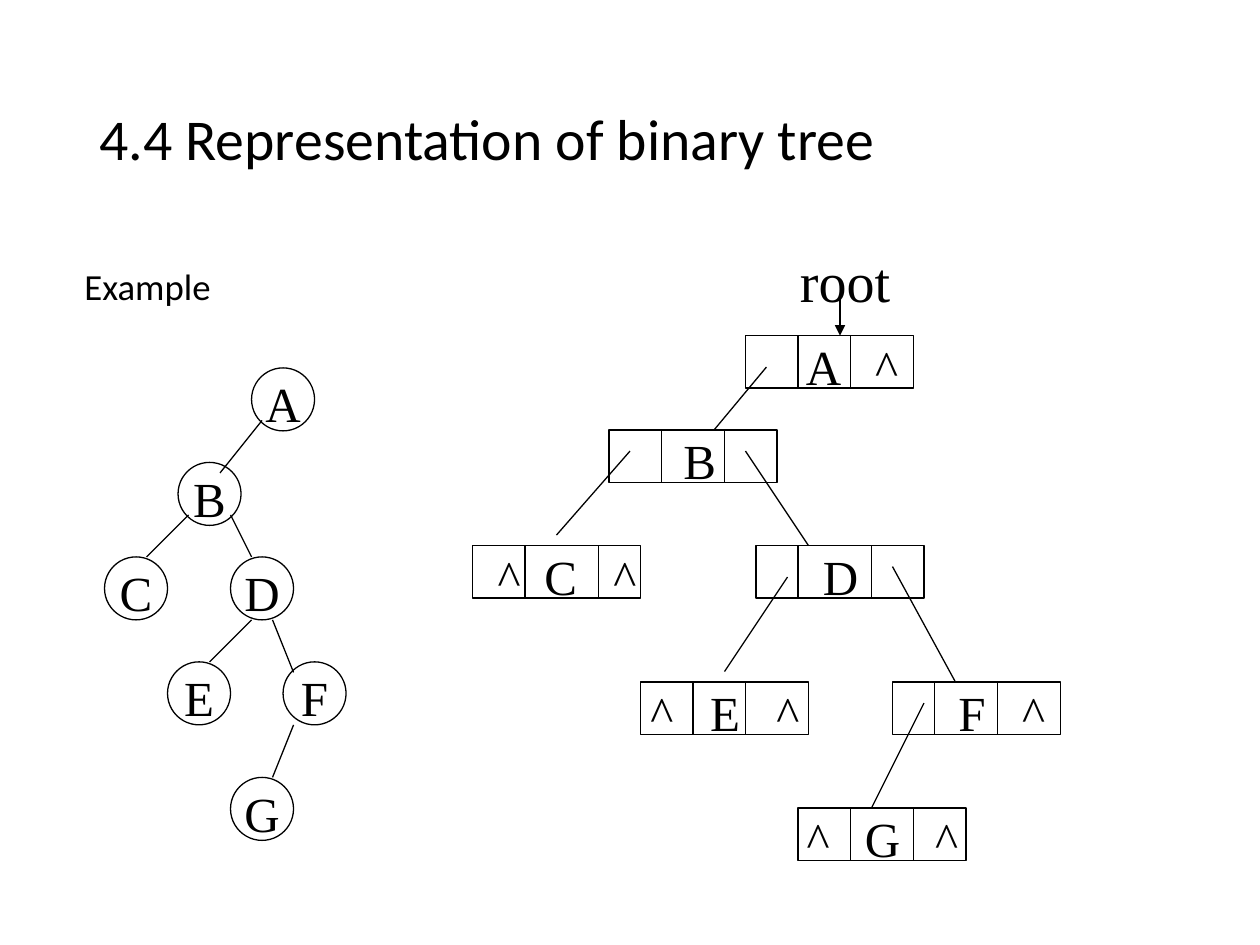
from lxml.etree import SubElement
from pptx import Presentation
from pptx.dml.color import RGBColor
from pptx.enum.shapes import MSO_CONNECTOR, MSO_SHAPE
from pptx.enum.text import MSO_ANCHOR, MSO_AUTO_SIZE, PP_ALIGN
from pptx.oxml.ns import qn
from pptx.util import Inches, Pt

BLACK = RGBColor(0x00, 0x00, 0x00)
SERIF = "Times New Roman"
SANS = "Calibri"
UNIT = Inches(1) // 12

CIRCLE = 6
CIRCLES = {"A": (14, 0), "B": (7, 9), "C": (0, 18), "D": (12, 18),
           "E": (6, 28), "F": (17, 28), "G": (12, 39)}
EDGES = [(15, 5, 11, 10), (8, 14, 4, 18), (12, 14, 14, 18),
         (14, 24, 10, 28), (16, 24, 18, 29), (18, 34, 16, 39)]

RECORD_W, RECORD_H = 16, 5
# left, top, dividers, text, centre tab stops in inches
RECORDS = [
    (26, 4, (5, 10), "\tA\t^", (0.62, 1.12)),
    (13, 13, (5, 11), "\tB", (0.72,)),
    (40, 37, (4, 10), "\tF\t^", (0.63, 1.12)),
    (16, 37, (5, 10), "\t^\tE\t^", (0.17, 0.67, 1.17)),
    (27, 24, (4, 11), "\tD", (0.67,)),
    (0, 24, (5, 12), "\t^\tC\t^", (0.29, 0.7, 1.21)),
    (31, 49, (5, 11), "\t^\tG\t^", (0.16, 0.67, 1.18)),
]
POINTERS = [(28, 7, 23, 13), (15, 15, 8, 23), (26, 15, 32, 24),
            (30, 27, 24, 36), (40, 26, 46, 37), (43, 39, 38, 49)]
ROOT_ARROW = (35, 0, 35, 4)


def format_text(p, font, size, align=PP_ALIGN.LEFT):
    p.alignment = align
    for r in p.runs:
        r.font.name = font
        r.font.size = Pt(size)
        r.font.color.rgb = BLACK


def set_insets(tf, left, top, right, bottom):
    tf.margin_left, tf.margin_top = Inches(left), Inches(top)
    tf.margin_right, tf.margin_bottom = Inches(right), Inches(bottom)


def add_line(group, left, top, ends, arrow=False):
    x1, y1, x2, y2 = (n * UNIT for n in ends)
    line = group.shapes.add_connector(MSO_CONNECTOR.STRAIGHT, left + x1,
                                      top + y1, left + x2, top + y2)
    line.line.color.rgb = BLACK
    line.line.width = Pt(0.75)
    if arrow:
        SubElement(line.line._get_or_add_ln(), qn("a:tailEnd"), type="triangle")
    SubElement(line._element.spPr, qn("a:effectLst"))


def add_node(group, kind, left, top, width, height, text):
    sp = group.shapes.add_shape(kind, left, top, width, height)
    sp.shadow.inherit = False
    sp.fill.background()
    sp.line.color.rgb = BLACK
    sp.line.width = Pt(0.75)
    tf = sp.text_frame
    tf.text = text
    tf.vertical_anchor = MSO_ANCHOR.MIDDLE
    set_insets(tf, 0, 0.06, 0, 0)
    return tf


def add_heading(slide, left, top, width, height):
    title = slide.shapes.title
    title.left, title.top, title.width, title.height = left, top, width, height
    tf = title.text_frame
    tf.text = "4.4 Representation of binary tree"
    tf.auto_size = MSO_AUTO_SIZE.NONE
    tf.vertical_anchor = MSO_ANCHOR.MIDDLE
    tf.paragraphs[0].line_spacing = 0.9
    format_text(tf.paragraphs[0], SANS, 33)


def add_body(slide, left, top, width, height):
    body = slide.placeholders[1]
    body.left, body.top, body.width, body.height = left, top, width, height
    tf = body.text_frame
    tf.text = "Example"
    tf.auto_size = MSO_AUTO_SIZE.NONE
    p = tf.paragraphs[0]
    p.line_spacing = 0.9
    p.space_before = Pt(0)
    pPr = p._p.get_or_add_pPr()
    pPr.set("marL", str(Inches(0.07)))
    pPr.set("indent", "0")
    SubElement(pPr, qn("a:buNone"))
    format_text(p, SANS, 21)


def add_circle_tree(slide, left, top):
    group = slide.shapes.add_group_shape()
    size = CIRCLE * UNIT
    for label, (x, y) in CIRCLES.items():
        tf = add_node(group, MSO_SHAPE.OVAL, left + x * UNIT, top + y * UNIT,
                      size, size, label)
        tf.word_wrap = False
        format_text(tf.paragraphs[0], SERIF, 28, PP_ALIGN.CENTER)
    for edge in EDGES:
        add_line(group, left, top, edge)


def add_record(group, left, top, dividers, text, stops):
    tf = add_node(group, MSO_SHAPE.RECTANGLE, left, top,
                  RECORD_W * UNIT, RECORD_H * UNIT, text)
    tf.word_wrap = True
    p = tf.paragraphs[0]
    tabs = SubElement(p._p.get_or_add_pPr(), qn("a:tabLst"))
    for stop in stops:
        SubElement(tabs, qn("a:tab"), pos=str(Inches(stop)), algn="ctr")
    format_text(p, SERIF, 28)
    for x in dividers:
        add_line(group, left, top, (x, 0, x, RECORD_H))


def add_linked_tree(slide, left, top):
    group = slide.shapes.add_group_shape()
    for x, y, dividers, text, stops in RECORDS:
        add_record(group, left + x * UNIT, top + y * UNIT, dividers, text, stops)
    for pointer in POINTERS:
        add_line(group, left, top, pointer)
    root = group.shapes.add_textbox(left + Inches(2.5), top - Inches(0.48),
                                    Inches(0.92), Inches(0.64))
    tf = root.text_frame
    tf.text = "root"
    tf.word_wrap = False
    set_insets(tf, 0.1, 0.11, 0.1, 0.02)
    format_text(tf.paragraphs[0], SERIF, 32)
    add_line(group, left, top, ROOT_ARROW, arrow=True)


def main():
    prs = Presentation()
    prs.slide_width, prs.slide_height = Inches(10), Inches(7.5)
    slide = prs.slides.add_slide(prs.slide_layouts[1])
    add_heading(slide, Inches(0.69), Inches(0.4), Inches(8.63), Inches(1.45))
    add_body(slide, Inches(0.5), Inches(2.08), Inches(8.75), Inches(4.92))
    add_circle_tree(slide, Inches(0.83), Inches(2.92))
    add_linked_tree(slide, Inches(3.75), Inches(2.33))
    prs.save("out.pptx")


if __name__ == "__main__":
    main()
